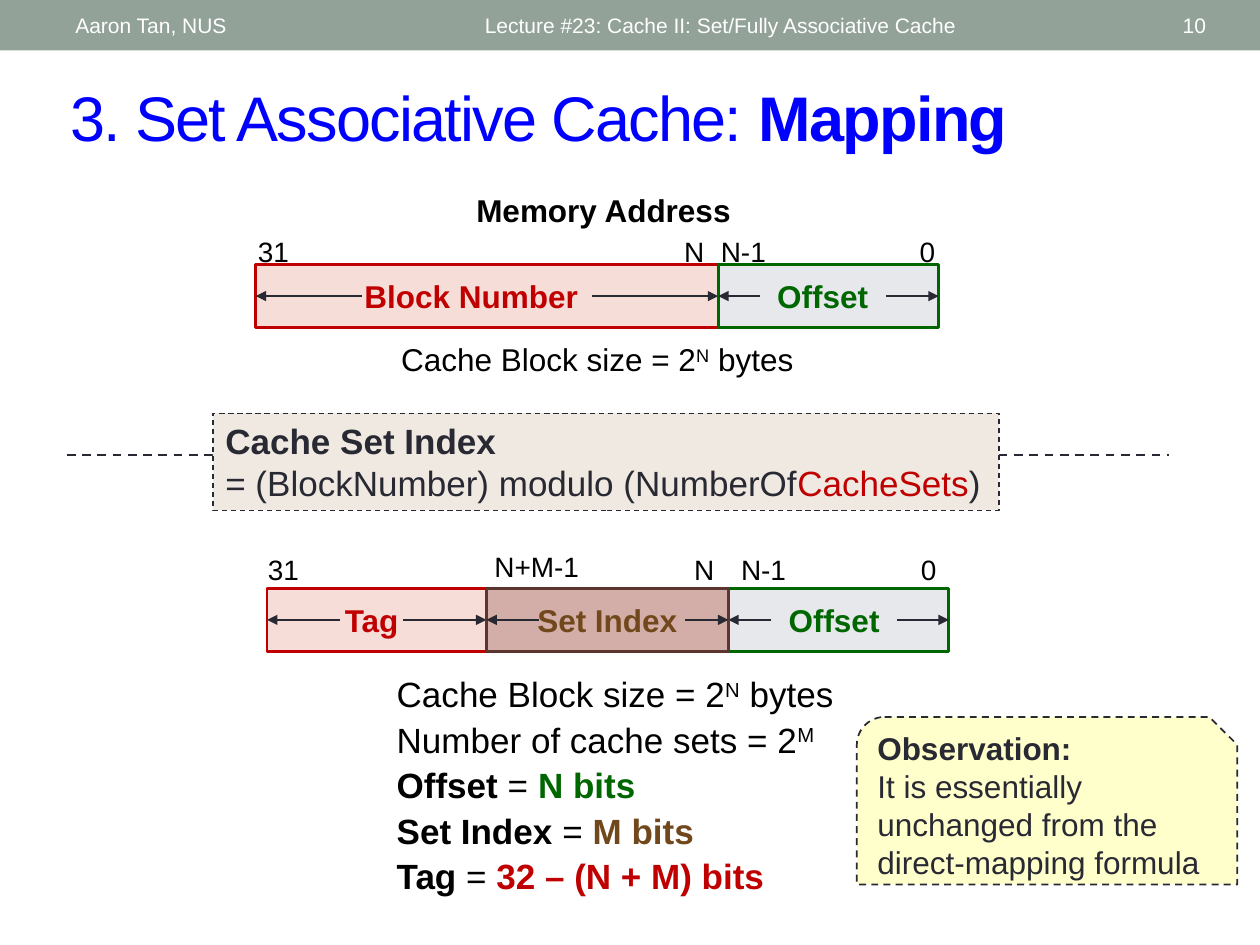
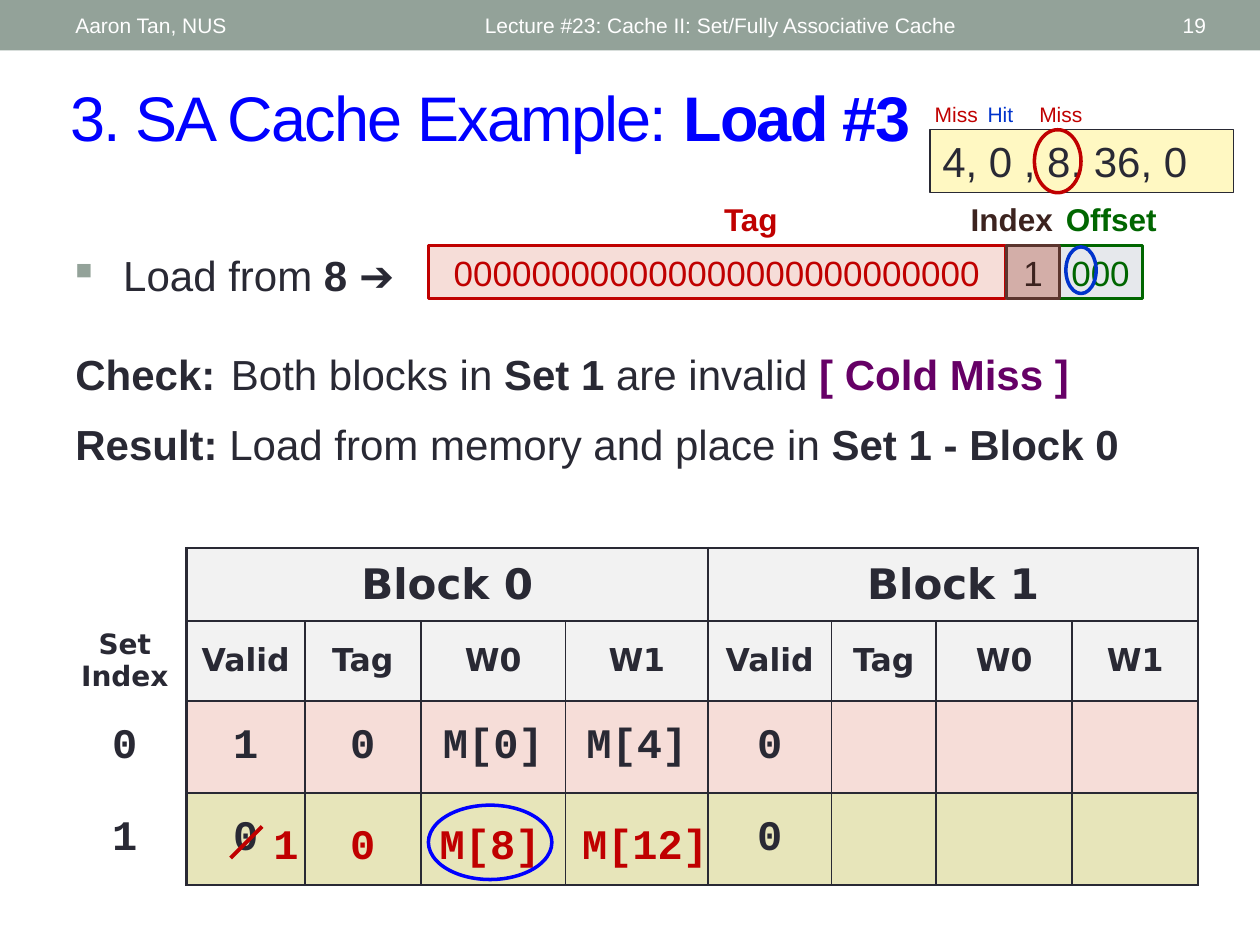
from lxml.etree import SubElement
from pptx import Presentation
from pptx.dml.color import RGBColor
from pptx.enum.dml import MSO_LINE
from pptx.enum.shapes import MSO_CONNECTOR, MSO_SHAPE as SHAPE
from pptx.enum.text import MSO_ANCHOR as ANCHOR, PP_ALIGN as ALIGN
from pptx.oxml.ns import qn
from pptx.util import Inches, Pt

INK, BLACK, WHITE, BAND, TITLE = "292934", "000000", "FFFFFF", "93A299", "0000FF"
RED, PINK = "C00000", "F6DDD8"
GREEN, GREY = "006600", "E6E8EC"
BROWN, ROSE, DARK, TAN = "5B352E", "D3AEA8", "3C231F", "71481C"
BLUE, PURPLE = "0033CC", "660066"
HEADER, OLIVE = "F2F2F2", "E7E5BA"
SANS, MONO, TABLE_FONT = "Arial", "Courier New", "DejaVu Sans"
POWER = {"baseline": 30000}
BOLD = {"bold": True}


def rgb(color):
    """Turn a hex string into a colour."""
    return RGBColor.from_string(color)


def style(font, size=None, color=None, bold=None, name=None):
    """Set the given font properties."""
    if size:
        font.size = Pt(size)
    if color:
        font.color.rgb = rgb(color)
    if bold is not None:
        font.bold = bold
    if name:
        font.name = name


def write(paragraph, content, size=18, color=INK, bold=False, name=SANS,
          align=ALIGN.LEFT, before=0):
    """Fill a paragraph from a string or a list of strings and (text, changes) pairs."""
    paragraph.alignment = align
    if before:
        paragraph.space_before = Pt(before)
    style(paragraph.font, size, color, bold, name)
    for part in [content] if isinstance(content, str) else content:
        words, changes = (part, {}) if isinstance(part, str) else part
        run = paragraph.add_run()
        run.text = words
        changes = dict(changes)
        for key in ("baseline", "spc"):
            if key in changes:
                run._r.get_or_add_rPr().set(key, str(changes.pop(key)))
        style(run.font, **changes)


def fill_frame(shape, lines, anchor=ANCHOR.TOP, before=0, **look):
    """Write one paragraph per line into a shape."""
    frame = shape.text_frame
    frame.word_wrap = True
    frame.vertical_anchor = anchor
    for number, line in enumerate(lines):
        paragraph = frame.add_paragraph() if number else frame.paragraphs[0]
        write(paragraph, line, before=before if number else 0, **look)


def text(slide, at, *lines, **look):
    """Add a left-aligned text box."""
    fill_frame(slide.shapes.add_textbox(*map(Inches, at)), lines, **look)


def label(slide, center, top, words, width=1, **look):
    """Add one line of text centred on a point."""
    text(slide, (center - width / 2, top, width, 0.4), words, align=ALIGN.CENTER, **look)


def box(slide, at, fill=None, line=None, weight=1.5, dash=None, kind=SHAPE.RECTANGLE):
    """Add a preset shape."""
    shape = slide.shapes.add_shape(kind, *map(Inches, at))
    shape.shadow.inherit = False
    if fill:
        shape.fill.solid()
        shape.fill.fore_color.rgb = rgb(fill)
    else:
        shape.fill.background()
    if line:
        shape.line.color.rgb = rgb(line)
        shape.line.width = Pt(weight)
        if dash:
            shape.line.dash_style = dash
    else:
        shape.line.fill.background()
    return shape


def ring(slide, at, color):
    """Circle something with an empty ellipse."""
    box(slide, at, line=color, weight=2, kind=SHAPE.OVAL)


def stroke(slide, start, end, color=INK, weight=1, dash=None, arrow=False):
    """Draw a straight line, with an optional arrowhead at its end."""
    line = slide.shapes.add_connector(MSO_CONNECTOR.STRAIGHT, *map(Inches, start + end))
    line.line.color.rgb = rgb(color)
    line.line.width = Pt(weight)
    if dash:
        line.line.dash_style = dash
    if arrow:
        SubElement(line.line._get_or_add_ln(), qn("a:tailEnd"), type="triangle")
    SubElement(line._element.spPr, qn("a:effectLst"))


def address_field(slide, left, right, top, name, center, width, gap, fill, line, color):
    """Draw an address field with its name between two outward arrows."""
    box(slide, (left, top, right - left, 0.5), fill, line)
    for inner, edge in zip(gap, (left, right)):
        stroke(slide, (inner, top + 0.25), (edge, top + 0.25), arrow=True)
    label(slide, center, top + 0.05, name, width, color=color, bold=True)


def start_slide(deck, topic, focus, page):
    """Add a slide with its band, running heads and title."""
    slide = deck.slides.add_slide(deck.slide_layouts[6])
    box(slide, (0, 0, 10, 0.4), BAND)
    heads = [(0.5, 3.17, "Aaron Tan, NUS", ALIGN.LEFT),
             (3.75, 4.5, "Lecture #23: Cache II: Set/Fully Associative Cache", ALIGN.LEFT),
             (8.72, 0.95, str(page), ALIGN.RIGHT)]
    for left, width, words, align in heads:
        text(slide, (left, 0.02, width, 0.36), words, anchor=ANCHOR.MIDDLE,
             size=12, color=WHITE, align=align)
    tight = {"spc": -100}
    text(slide, (0.46, 0.57, 9.21, 0.7), [(topic, tight), (focus, tight | BOLD)],
         anchor=ANCHOR.MIDDLE, size=36, color=TITLE)
    return slide


def mapping_slide(deck):
    """Show how an address maps to a cache set."""
    slide = start_slide(deck, "3. Set Associative Cache: ", "Mapping", 10)
    block_size = ["Cache Block size = 2", ("N", POWER), " bytes"]

    label(slide, 4.79, 1.47, "Memory Address", 2.4, color=BLACK, bold=True)
    address_bits = [(2.17, 1.81, "31"), (5.51, 1.81, "N"), (5.9, 1.81, "N-1"), (7.36, 1.81, "0")]
    set_bits = [(2.25, 4.34, "31"), (4.26, 4.31, "N+M-1"), (5.59, 4.34, "N"),
                (6.06, 4.34, "N-1"), (7.37, 4.34, "0")]
    for center, top, bit in address_bits + set_bits:
        label(slide, center, top, bit, size=16, color=BLACK)

    fields = [
        (2.03, 5.7, 2.1, "Block Number", 3.74, 2.1, (2.87, 4.7), PINK, RED, RED),
        (5.7, 7.45, 2.1, "Offset", 6.53, 1, (6.03, 7.03), GREY, GREEN, GREEN),
        (2.12, 3.86, 4.67, "Tag", 2.95, 1, (2.7, 3.2), PINK, RED, RED),
        (5.78, 7.53, 4.67, "Offset", 6.62, 1, (6.12, 7.12), GREY, GREEN, GREEN),
        (3.86, 5.78, 4.67, "Set Index", 4.82, 1.5, (4.28, 5.44), ROSE, BROWN, TAN),
    ]
    for field in fields:
        address_field(slide, *field)
    label(slide, 4.74, 2.65, block_size, 4.92, color=BLACK)

    stroke(slide, (0.53, 3.61), (9.28, 3.61), weight=1.25, dash=MSO_LINE.DASH)
    formula = box(slide, (1.69, 3.28, 6.24, 0.77), "EFE9E1", INK, 0.75, MSO_LINE.DASH)
    fill_frame(formula, [[("Cache Set Index", BOLD)],
                         ["= (BlockNumber) modulo (NumberOf", ("CacheSets", {"color": RED}), ")"]],
               size=20)

    widths = [("Offset", "N bits", GREEN), ("Set Index", "M bits", TAN),
              ("Tag", "32 – (N + M) bits", RED)]
    text(slide, (3.05, 5.29, 3.71, 1.92), block_size,
         ["Number of cache sets = 2", ("M", POWER)],
         *[[(part, BOLD), " = ", (bits, BOLD | {"color": color})] for part, bits, color in widths],
         size=20, color=BLACK, before=2)

    note = box(slide, (6.8, 5.69, 3.02, 1.33), "FFFFCC", INK, 1, MSO_LINE.DASH,
               SHAPE.SNIP_ROUND_RECTANGLE)
    fill_frame(note, [[("Observation:", BOLD)],
                      "It is essentially unchanged from the direct-mapping formula"],
               anchor=ANCHOR.MIDDLE)


def border(cell, **weights):
    """Draw cell borders, given by side letter; a weight of 0 hides one."""
    for side in "LRTB":
        weight = weights.get(side, 0)
        edge = SubElement(cell._tc.get_or_add_tcPr(), qn("a:ln" + side), w=str(Pt(weight)))
        if weight:
            fill = SubElement(edge, qn("a:solidFill"))
            SubElement(fill, qn("a:srgbClr"), val=INK)
        else:
            SubElement(edge, qn("a:noFill"))


def cache_table(slide):
    """Add the table of the two-way cache contents."""
    words = ["Valid", "Tag", "W0", "W1"]
    rows = [
        (0.58, HEADER, TABLE_FONT, 24, ["", "Block 0", "", "", "", "Block 1", "", "", ""]),
        (0.58, HEADER, TABLE_FONT, 18, ["Set Index"] + words * 2),
        (0.73, PINK, MONO, 24, ["0", "1", "0", "M[0]", "M[4]", "0", "", "", ""]),
        (0.73, OLIVE, MONO, 24, ["1", "0", "", "", "", "0", "", "", ""]),
    ]
    widths = [0.98, 0.94, 0.92, 1.15, 1.13, 0.98, 0.83, 1.08, 1]
    table = slide.shapes.add_table(4, 9, *map(Inches, (0.5, 4.35, 9, 2.62))).table
    for column, width in zip(table.columns, widths):
        column.width = Inches(width)
    for first in (1, 5):
        table.cell(0, first).merge(table.cell(0, first + 3))
    for r, (height, fill, font, size, values) in enumerate(rows):
        table.rows[r].height = Inches(height)
        for c, value in enumerate(values):
            cell = table.cell(r, c)
            if c == 0:
                border(cell, R=1.5)
            else:
                border(cell, T=1.5, B=1.5, L=1.5 if r == 0 or c in (1, 5) else 1,
                       R=1.5 if r == 0 or c in (4, 8) else 1)
            cell.fill.solid()
            cell.fill.fore_color.rgb = rgb(fill if c else WHITE)
            cell.vertical_anchor = ANCHOR.MIDDLE
            if value:
                write(cell.text_frame.paragraphs[0], value, bold=True, name=font,
                      size=16 if value == "Set Index" else size, align=ALIGN.CENTER)


def load_steps(slide):
    """Add the bulleted load line and the check below it."""
    frame = slide.shapes.add_textbox(*map(Inches, (0.5, 1.93, 9, 1.3))).text_frame
    frame.word_wrap = True
    load, check = frame.paragraphs[0], frame.add_paragraph()
    marks = load._p.get_or_add_pPr()
    marks.set("marL", str(Inches(0.38)))
    marks.set("indent", str(Inches(-0.38)))
    SubElement(SubElement(marks, qn("a:buClr")), qn("a:srgbClr"), val=BAND)
    SubElement(marks, qn("a:buSzPct"), val="55000")
    SubElement(marks, qn("a:buChar"), char="■")
    write(load, ["Load from ", ("8 ➔", BOLD)], size=24)
    write(check, [("Check:", BOLD), (" ", {"size": 32}), "Both blocks in ", ("Set 1 ", BOLD),
                  "are invalid ", ("[ Cold Miss ]", BOLD | {"color": PURPLE})],
          size=24, before=20)


def load_slide(deck):
    """Show the third load of the cache example."""
    slide = start_slide(deck, "3. SA Cache Example: ", "Load #3", 19)
    cache_table(slide)
    load_steps(slide)

    fields = [("Tag", 5.96, 3.4, 4.58, "0" * 27, PINK, RED, RED),
              ("Offset", 8.82, 8.4, 0.67, "000", GREY, GREEN, GREEN),
              ("Index", 8.03, 7.99, 0.42, "1", ROSE, BROWN, DARK)]
    for name, center, left, width, bits, fill, line, color in fields:
        field = box(slide, (left, 1.95, width, 0.42), fill, line)
        fill_frame(field, [bits], anchor=ANCHOR.MIDDLE, size=20, color=color,
                   align=ALIGN.CENTER)
        label(slide, center, 1.54, name, 1.1, color=color, bold=True)

    requests = box(slide, (7.38, 1.03, 2.41, 0.5), "FFF8C2", INK, 0.75)
    fill_frame(requests, ["4, 0 , 8, 36, 0"], size=24)
    for center, outcome, color in [(7.59, "Miss", RED), (7.94, "Hit", BLUE), (8.42, "Miss", RED)]:
        label(slide, center, 0.76, outcome, size=12, color=color)

    text(slide, (0.5, 3.27, 8.83, 0.5), [("Result: ", BOLD), "Load from memory and place in ",
                                         ("Set 1 - Block 0", BOLD)], size=24)
    for center, value in [(2.27, "1"), (2.88, "0"), (3.89, "M[8]"), (5.12, "M[12]")]:
        label(slide, center, 6.44, value, 1.4, size=24, color=RED, bold=True, name=MONO)
    stroke(slide, (2.08, 6.56), (1.83, 6.81), RED, 2.25)
    ring(slide, (8.21, 1.03, 0.37, 0.5), RED)
    ring(slide, (3.4, 6.39, 0.98, 0.59), TITLE)
    ring(slide, (8.46, 1.96, 0.24, 0.37), BLUE)


def main():
    """Build and save the deck."""
    deck = Presentation()
    deck.slide_width, deck.slide_height = Inches(10), Inches(7.5)
    mapping_slide(deck)
    load_slide(deck)
    deck.save("out.pptx")


if __name__ == "__main__":
    main()
